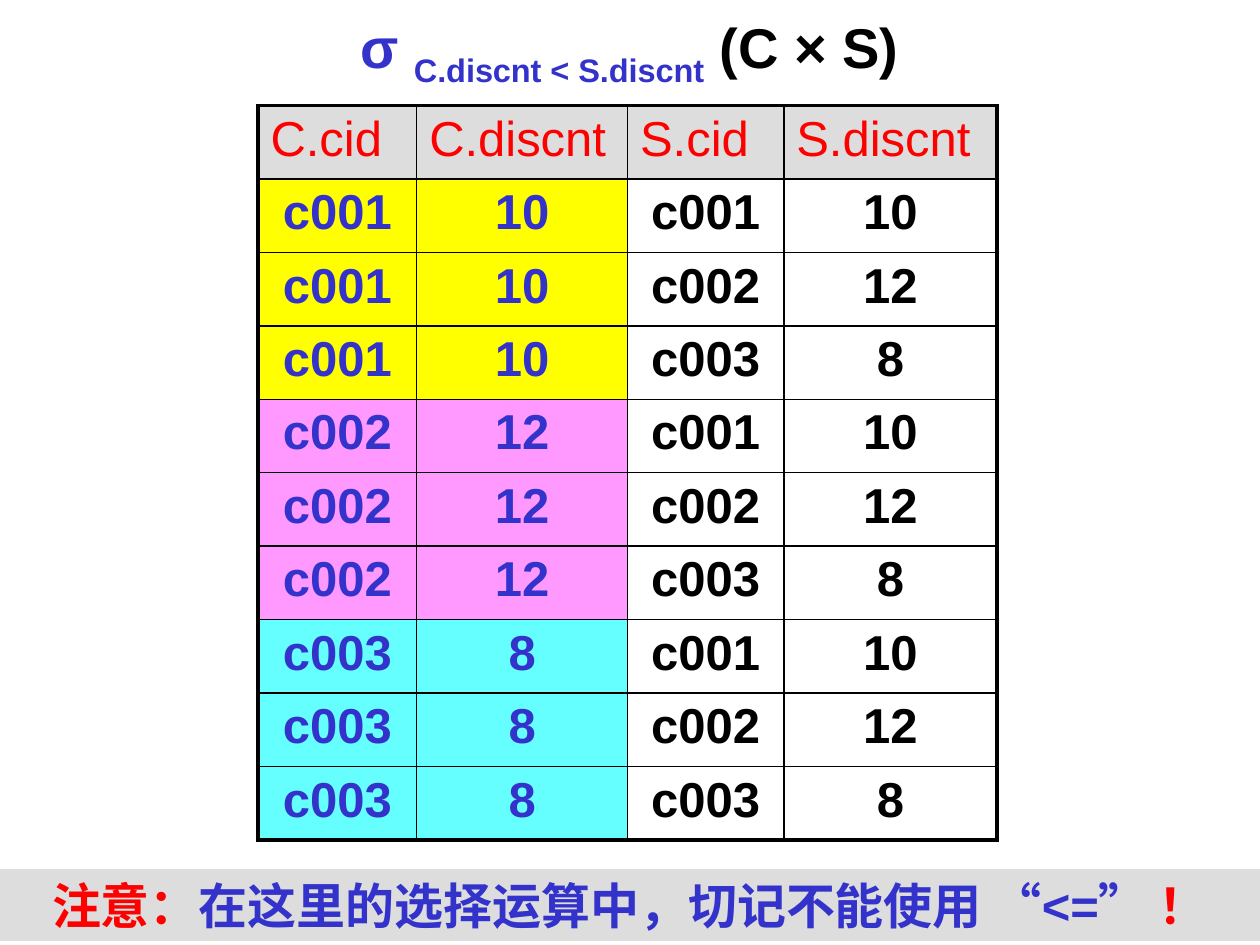
from lxml.etree import SubElement as Sub
from pptx import Presentation
from pptx.dml.color import RGBColor as Rgb
from pptx.enum.shapes import MSO_SHAPE as Shape
from pptx.enum.text import MSO_ANCHOR as Anchor, MSO_AUTO_SIZE as Fit, PP_ALIGN as Align
from pptx.oxml.ns import qn
from pptx.util import Cm, Pt

RED = Rgb(0xFF, 0x00, 0x00)
BLUE = Rgb(0x33, 0x33, 0xCC)
BLACK = Rgb(0x00, 0x00, 0x00)
GREY = Rgb(0xDD, 0xDD, 0xDD)
YELLOW = Rgb(0xFF, 0xFF, 0x00)
PINK = Rgb(0xFF, 0x99, 0xFF)
CYAN = Rgb(0x66, 0xFF, 0xFF)

HEADS = ["C.cid", "C.discnt", "S.cid", "S.discnt"]
WIDTHS = [3.2, 4.25, 3.15, 4.3]
ROW = 1.48
ITEMS = [("c001", "10", YELLOW), ("c002", "12", PINK), ("c003", "8", CYAN)]


def place(shape, left, top, width, height):
    """Move and size a shape, in centimetres."""
    shape.left, shape.top = Cm(left), Cm(top)
    shape.width, shape.height = Cm(width), Cm(height)


def style(para, size, bold, align):
    """Set the font and alignment of a paragraph."""
    para.alignment = align
    para.font.name, para.font.size, para.font.bold = "Arial", Pt(size), bold


def write(shape, size, runs, anchor):
    """Fill a shape with one centred line of coloured runs."""
    frame = shape.text_frame
    frame.word_wrap, frame.auto_size = True, Fit.NONE
    frame.vertical_anchor = anchor
    para = frame.paragraphs[0]
    style(para, size, True, Align.CENTER)
    for text, color, base in runs:
        run = para.add_run()
        run.text = text
        run.font.name = "Arial"
        run.font.color.rgb = color
        if base:
            run.font._element.set("baseline", str(base * 1000))


def edge(cell, side, width):
    """Draw one black border of a cell."""
    props = cell._tc.get_or_add_tcPr()
    line = Sub(props, qn("a:ln" + side), w=str(Pt(width)))
    Sub(Sub(line, qn("a:solidFill")), qn("a:srgbClr"), val=str(BLACK))


def fill_cell(cell, text, color, back, head):
    """Write and colour one cell."""
    cell.text = text
    para = cell.text_frame.paragraphs[0]
    style(para, 28, not head, Align.LEFT if head else Align.CENTER)
    para.font.color.rgb = color
    if back:
        cell.fill.solid()
        cell.fill.fore_color.rgb = back
    else:
        cell.fill.background()


def add_grid(slide):
    """Add the product table with its thick outer frame."""
    pairs = [(c, s) for c in ITEMS for s in ITEMS]
    rows, cols = len(pairs) + 1, len(HEADS)
    table = slide.shapes.add_table(rows, cols, Cm(5.2), Cm(2.13),
                                   Cm(sum(WIDTHS)), Cm(ROW * rows)).table
    table.first_row = table.horz_banding = False
    for col, width in zip(table.columns, WIDTHS):
        col.width = Cm(width)
    data = [[(text, RED, GREY) for text in HEADS]]
    for (cid, rate, back), (sid, other, _) in pairs:
        data.append([(cid, BLUE, back), (rate, BLUE, back),
                     (sid, BLACK, None), (other, BLACK, None)])
    for i, line in enumerate(data):
        table.rows[i].height = Cm(ROW)
        for j, (text, color, back) in enumerate(line):
            cell = table.cell(i, j)
            outer = {"L": j == 0, "R": j == cols - 1, "T": i == 0, "B": i == rows - 1}
            for side, thick in outer.items():
                edge(cell, side, 2.25 if thick else 1)
            fill_cell(cell, text, color, back, i == 0)


def add_title(slide):
    """Write the selection formula in the title."""
    title = slide.shapes.title
    place(title, 4.29, 0.13, 16.8, 1.6)
    write(title, 32, [("σ ", BLUE, 0), ("C.discnt < S.discnt", BLUE, -25),
                      (" (C × S)", BLACK, 0)], Anchor.TOP)


def add_note(slide):
    """Add the grey warning bar at the foot."""
    bar = slide.shapes.add_shape(Shape.RECTANGLE, Cm(0), Cm(17.52), Cm(25.4), Cm(1.45))
    bar.shadow.inherit = False
    bar.fill.solid()
    bar.fill.fore_color.rgb = GREY
    bar.line.fill.background()
    write(bar, 28, [("注意：", RED, 0),
                    ("在这里的选择运算中，切记不能使用 “<=” ", BLUE, 0),
                    ("！", RED, 0)], Anchor.MIDDLE)


def main():
    """Build and save the slide."""
    deck = Presentation()
    deck.slide_width, deck.slide_height = Cm(25.4), Cm(19.05)
    slide = deck.slides.add_slide(deck.slide_layouts[5])
    add_grid(slide)
    add_title(slide)
    add_note(slide)
    deck.save("out.pptx")


if __name__ == "__main__":
    main()
